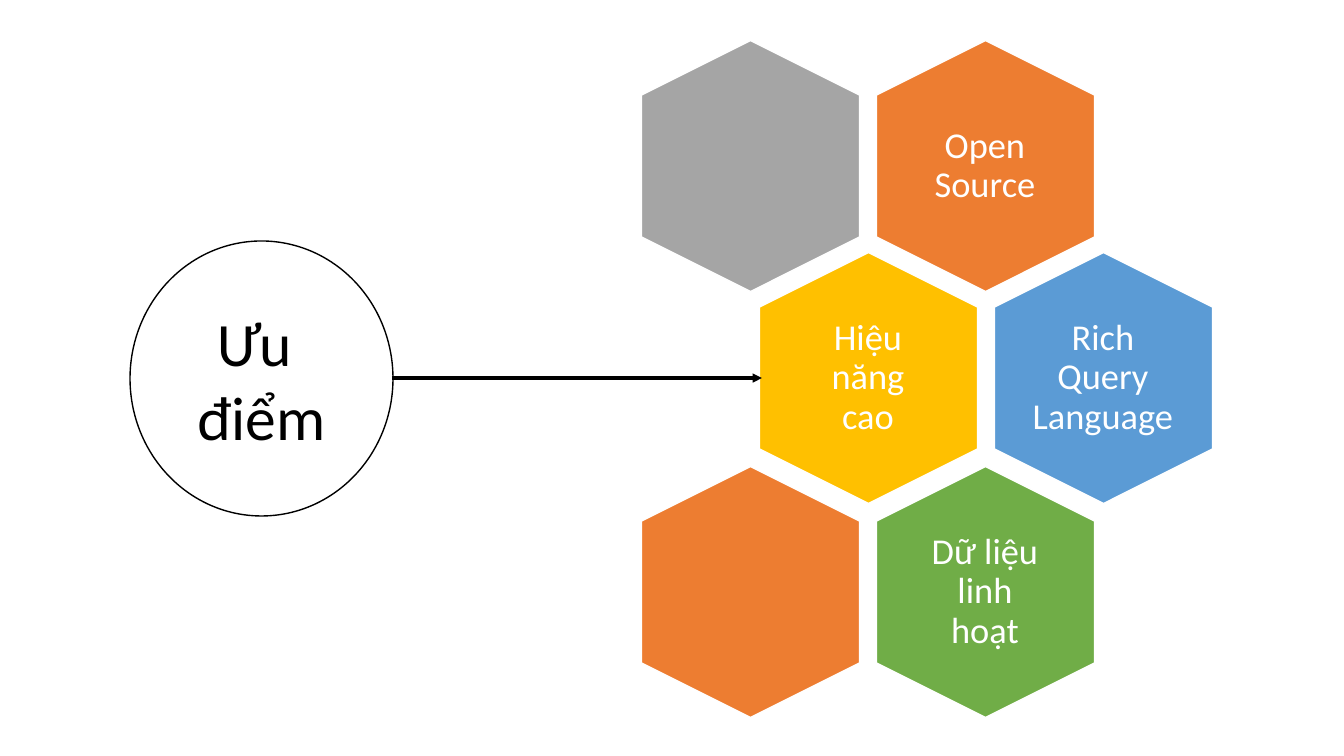
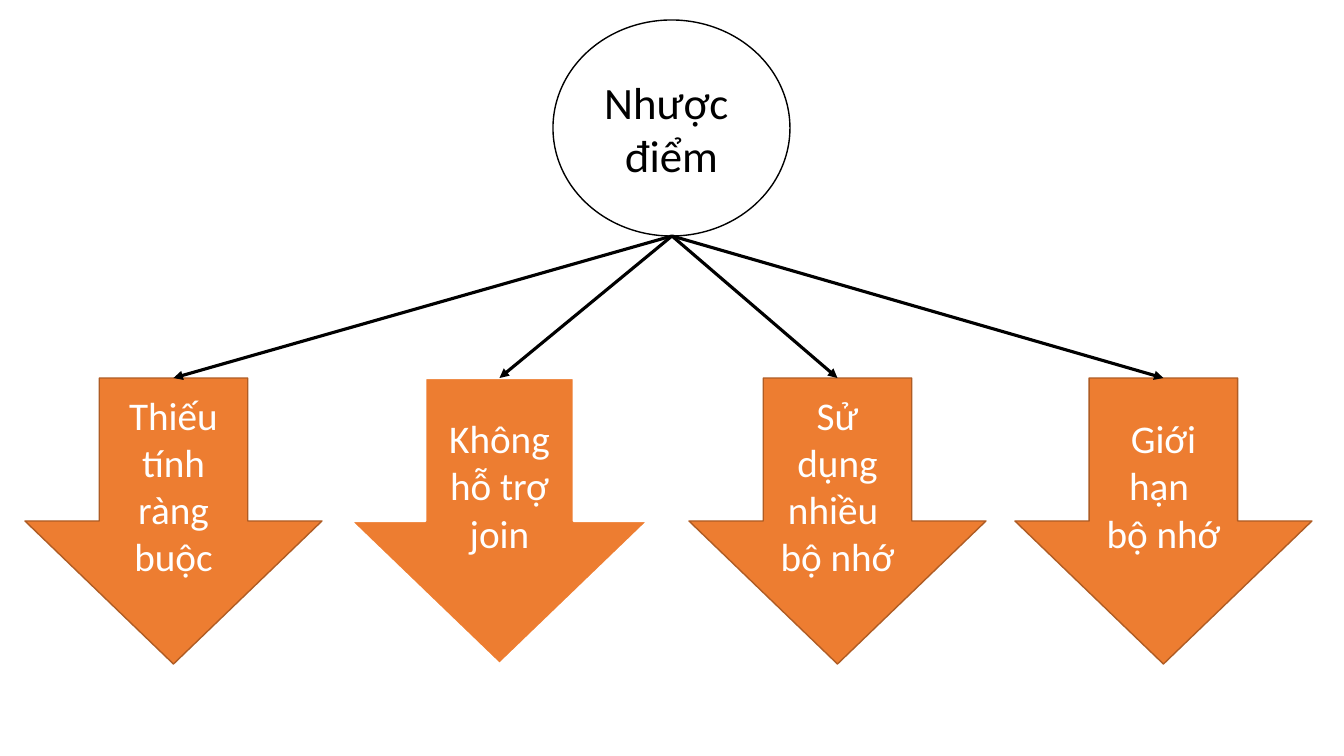
import dataclasses

import lxml.etree
import pptx
import pptx.dml.color
import pptx.enum.shapes
import pptx.enum.text
import pptx.oxml.ns
import pptx.util

SHAPES = pptx.enum.shapes.MSO_SHAPE
SLIDE_WIDTH, SLIDE_HEIGHT = 1344, 756
EMU_PER_PX = 12192000 / SLIDE_WIDTH


@dataclasses.dataclass(frozen=True)
class Theme:
    """Colours, type and line widths shared by the slides."""

    font: str = "Calibri"
    white: str = "FFFFFF"
    black: str = "000000"
    orange: str = "ED7D31"
    dark_orange: str = "AF5C24"
    gray: str = "A5A5A5"
    gold: str = "FFC000"
    blue: str = "5B9BD5"
    green: str = "70AD47"
    large_hub_size: int = 44
    small_hub_size: int = 32
    arrow_size: int = 28
    cell_size: int = 26
    outline: float = 1
    heavy_outline: float = 1.5
    connector: float = 2.25


THEME = Theme()


@dataclasses.dataclass(frozen=True)
class Box:
    """A rectangle in px."""

    left: int
    top: int
    width: int
    height: int

    def emu(self):
        """Return left, top, width and height in EMU."""
        return [px(value) for value in dataclasses.astuple(self)]


def px(length):
    """Turn px into EMU."""
    return pptx.util.Emu(round(length * EMU_PER_PX))


def rgb(colour):
    """Turn a hex string into a colour."""
    return pptx.dml.color.RGBColor.from_string(colour)


def centred_box(x, y, width, height):
    """Return the box of the given size around a centre."""
    return Box(x - width // 2, y - height // 2, width, height)


def write(shape, paragraphs, size, colour, line_spacing=None):
    """Write centred paragraphs into a shape."""
    frame = shape.text_frame
    frame.word_wrap = True
    frame.vertical_anchor = pptx.enum.text.MSO_ANCHOR.MIDDLE
    for index, text in enumerate(paragraphs):
        para = frame.add_paragraph() if index else frame.paragraphs[0]
        para.text = text
        para.alignment = pptx.enum.text.PP_ALIGN.CENTER
        para.line_spacing = line_spacing
        para.font.name = THEME.font
        para.font.size = pptx.util.Pt(size)
        para.font.color.rgb = rgb(colour)


def add_figure(shapes, kind, box, fill, line, line_width=THEME.outline):
    """Add a flat preset shape."""
    shape = shapes.add_shape(kind, *box.emu())
    shape.shadow.inherit = False
    shape.fill.solid()
    shape.fill.fore_color.rgb = rgb(fill)
    shape.line.color.rgb = rgb(line)
    shape.line.width = pptx.util.Pt(line_width)
    return shape


def add_hub(page, box, text, size):
    """Add the outlined circle that names the slide's subject."""
    hub = add_figure(page.shapes, SHAPES.FLOWCHART_CONNECTOR, box, THEME.white, THEME.black)
    write(hub, [text], size, THEME.black)


def add_arrow_line(page, start, end):
    """Add a straight black connector with an arrowhead at its end."""
    line = page.shapes.add_connector(
        pptx.enum.shapes.MSO_CONNECTOR.STRAIGHT, *map(px, (*start, *end)))
    line.line.color.rgb = rgb(THEME.black)
    line.line.width = pptx.util.Pt(THEME.connector)
    outline = line.line._get_or_add_ln()
    lxml.etree.SubElement(outline, pptx.oxml.ns.qn("a:tailEnd"), type="triangle")
    lxml.etree.SubElement(line._element.spPr, pptx.oxml.ns.qn("a:effectLst"))
    return line


def add_honeycomb(page, box, cells):
    """Add upright hexagons on a staggered grid of half columns and rows."""
    width, height = 218, 251
    column_step, row_step = (box.width - width) / 3, (box.height - height) / 2
    group = page.shapes.add_group_shape()
    for column, row, fill, text, inset in cells:
        x = round(box.left + width / 2 + column * column_step)
        y = round(box.top + height / 2 + row * row_step)
        hexagon = add_figure(
            group.shapes, SHAPES.HEXAGON, centred_box(x, y, height, width), fill, THEME.white)
        hexagon.rotation = 90
        hexagon.adjustments[0] = 0.25
        if text:
            label = group.shapes.add_textbox(*centred_box(x, y, 150, 172).emu())
            frame = label.text_frame
            frame.margin_left = frame.margin_right = px(inset)
            frame.margin_top = frame.margin_bottom = px(inset)
            write(label, [text], THEME.cell_size, THEME.white, 0.9)


def add_down_arrows(page, box, arrows):
    """Add two pairs of block arrows across the box."""
    width, pair_step, side_step = 297, 664, 326
    figures = []
    for index, (paragraphs, line, line_width) in enumerate(arrows):
        pair, side = divmod(index, 2)
        place = Box(box.left + pair * pair_step + side * side_step, box.top, width, box.height)
        figure = add_figure(
            page.shapes, SHAPES.DOWN_ARROW, place, THEME.orange, line, line_width)
        write(figure, paragraphs, THEME.arrow_size, THEME.white)
        figures.append(figure)
    return figures


def build_advantages(page, box):
    """Build the slide of a hub pointing at a honeycomb."""
    middle = box.top + box.height // 2
    cells = [
        (2, 0, THEME.orange, "Open Source", 11),
        (0, 0, THEME.gray, "", 0),
        (1, 1, THEME.gold, "Hiệu năng cao", 11),
        (3, 1, THEME.blue, "Rich Query Language", 0),
        (2, 2, THEME.green, "Dữ liệu linh hoạt", 11),
        (0, 2, THEME.orange, "", 0),
    ]
    add_honeycomb(page, Box(box.left + 641, box.top + 40, 571, 677), cells)
    add_hub(page, Box(box.left + 130, box.top + 241, 263, 275), "Ưu \vđiểm", THEME.large_hub_size)
    add_arrow_line(page, (box.left + 392, middle), (box.left + 762, middle))


def build_drawbacks(page, box):
    """Build the slide of a hub pointing down at four block arrows."""
    plain = (THEME.dark_orange, THEME.outline)
    arrows = [
        (["Thiếu tính ràng buộc"], *plain),
        (["Không hỗ trợ join"], THEME.white, THEME.heavy_outline),
        (["Sử dụng nhiều ", "bộ nhớ"], *plain),
        (["Giới hạn ", "bộ nhớ"], *plain),
    ]
    hub = Box(box.left + 553, box.top + 20, 237, 216)
    add_hub(page, hub, "Nhược \vđiểm", THEME.small_hub_size)
    figures = add_down_arrows(page, Box(box.left + 25, box.top + 378, 1287, 286), arrows)
    start = (box.left + box.width // 2, hub.top + hub.height)
    for figure in figures:
        line = add_arrow_line(page, start, start)
        line.end_connect(figure, 0)


def main():
    """Build and save the deck."""
    deck = pptx.Presentation()
    deck.slide_width, deck.slide_height = px(SLIDE_WIDTH), px(SLIDE_HEIGHT)
    canvas = Box(0, 0, SLIDE_WIDTH, SLIDE_HEIGHT)
    for build in (build_advantages, build_drawbacks):
        build(deck.slides.add_slide(deck.slide_layouts[6]), canvas)
    deck.save("out.pptx")


if __name__ == "__main__":
    main()
